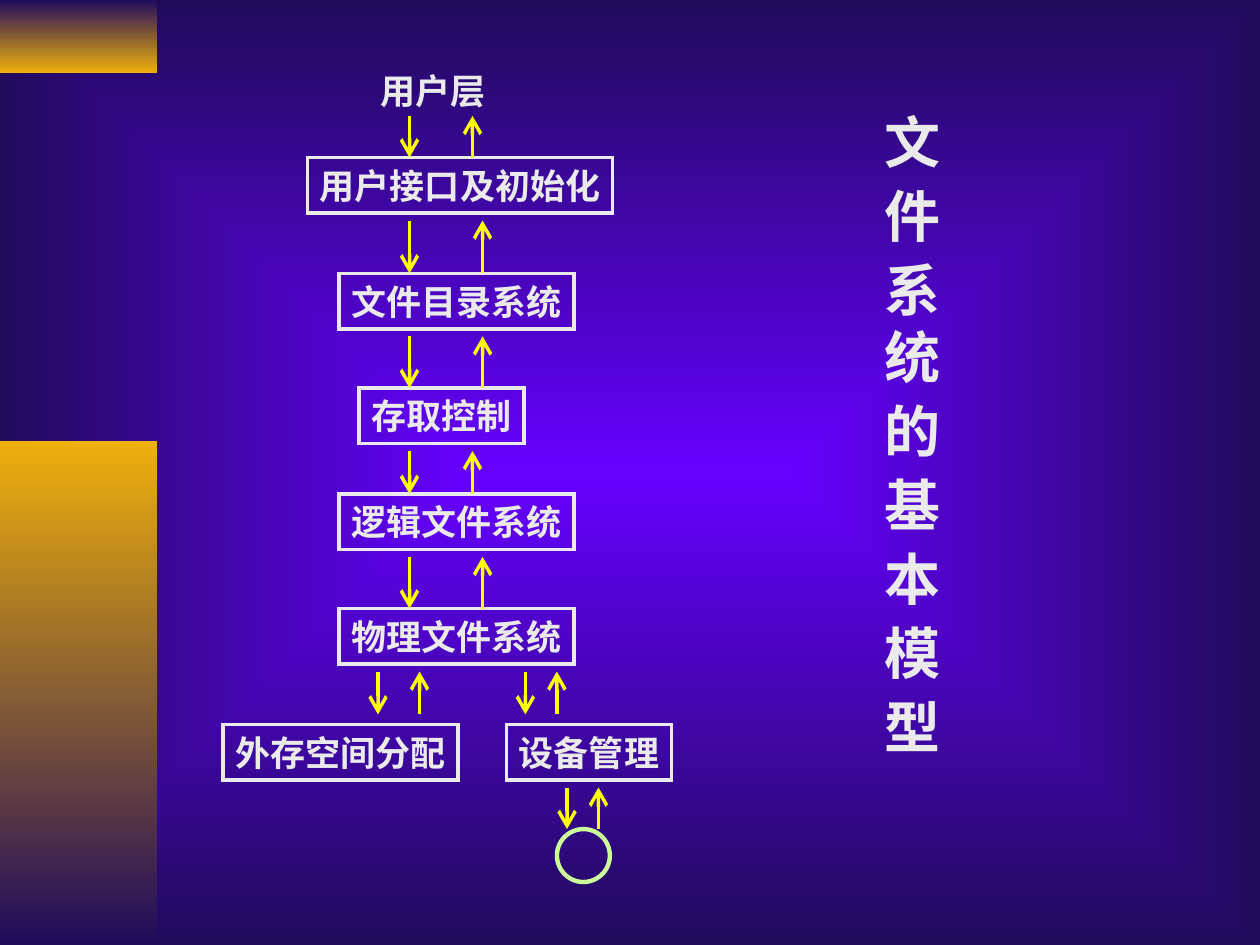
from pptx import Presentation
from pptx.util import Inches, Pt
from pptx.dml.color import RGBColor
from pptx.enum.shapes import MSO_SHAPE as Shape, MSO_CONNECTOR as Link
from pptx.enum.text import MSO_ANCHOR as Anchor, PP_ALIGN as Align
from pptx.oxml import parse_xml
from pptx.oxml.ns import nsdecls, qn
from lxml.etree import SubElement

SANS, SERIF = "Noto Sans CJK SC", "Times New Roman"
NAVY, GOLD, VIOLET = "200B5B", "EEB00B", "6600FF"
PALE, LIME, YELLOW = "EAEAEA", "CCFF99", "FFFF00"


def tint(code):
    return RGBColor.from_string(code)


def blend(fill, first, last):
    fill.gradient()
    for stop, code, place in zip(fill.gradient_stops, (first, last), (0, 1)):
        stop.color.rgb = tint(code)
        stop.position = place


def write(shape, text, size=20, font=SERIF, color=PALE, bold=True, leads=None):
    frame = shape.text_frame
    frame.word_wrap = False
    frame.vertical_anchor = Anchor.MIDDLE
    frame.margin_left, frame.margin_right = Inches(0.1), 0
    frame.margin_top = frame.margin_bottom = Inches(0.05)
    for i, line in enumerate(text.split("\n")):
        para = frame.paragraphs[0] if i == 0 else frame.add_paragraph()
        para.alignment = Align.LEFT
        para.line_spacing = leads[i] if leads else 1.0
        run = para.add_run()
        run.text = line
        run.font.size, run.font.bold, run.font.name = Pt(size), bold, font
        run.font.color.rgb = tint(color)
        SubElement(run.font._element, qn("a:ea"), typeface=SANS)


class Deck:
    """Holds the line style and the current slide, and draws each kind of element."""

    def __init__(self, width, height, stroke=2):
        self.show = Presentation()
        self.show.slide_width, self.show.slide_height = Inches(width), Inches(height)
        self.slide = self.show.slides.add_slide(self.show.slide_layouts[6])
        self.stroke = stroke

    def backdrop(self, inner, outer):
        fill = self.slide.background.fill
        blend(fill, inner, outer)
        grad = self.slide.background._cSld.find(".//" + qn("a:gradFill"))
        lin = grad.find(qn("a:lin"))
        glow = parse_xml(
            f'<a:path {nsdecls("a")} path="rect"><a:fillToRect l="50000" t="50000" '
            'r="50000" b="50000"/></a:path>')
        grad.replace(lin, glow)

    def shape(self, kind, *spot):
        item = self.slide.shapes.add_shape(kind, *map(Inches, spot))
        item.shadow.inherit = False
        return item

    def ink(self, item, color, width=None):
        item.line.color.rgb = tint(color)
        item.line.width = Pt(width or self.stroke)
        edge = item.line._get_or_add_ln()
        SubElement(edge, qn("a:miter"), lim="800000")
        return edge

    def band(self, top, height, first, last):
        item = self.shape(Shape.RECTANGLE, 0, top, 1.25, height)
        blend(item.fill, first, last)
        item.fill.gradient_angle = 270
        item.line.fill.background()

    def outline(self, kind, *spot, color=PALE, width=None):
        item = self.shape(kind, *spot)
        item.fill.background()
        self.ink(item, color, width)
        return item

    def box(self, left, top, text, font=SERIF):
        width = 0.2 + len(text) * 20 / 72
        write(self.outline(Shape.RECTANGLE, left, top, width, 0.44), text, font=font)

    def label(self, left, top, width, height, text, **style):
        item = self.slide.shapes.add_textbox(*map(Inches, (left, top, width, height)))
        write(item, text, **style)

    def arrow(self, x, start, end):
        item = self.slide.shapes.add_connector(
            Link.STRAIGHT, *map(Inches, (x, start, x, end)))
        edge = self.ink(item, YELLOW)
        SubElement(edge, qn("a:tailEnd"), type="arrow", w="lg", len="lg")
        SubElement(item._element.spPr, qn("a:effectLst"))

    def pair(self, down, up, top, end):
        self.arrow(down, top, end)
        self.arrow(up, end, top)


deck = Deck(10, 7.5)
deck.backdrop(VIOLET, NAVY)
deck.band(0, 0.58, NAVY, GOLD)
deck.band(3.5, 4, GOLD, NAVY)

title = "文件系统的基本模型"
deck.label(6.92, 0.75, 0.64, 5.33, "\n".join(title), size=32, font=SANS,
           leads=[1.0 if sign == "统" else 1.1 for sign in title])
deck.label(2.92, 0.5, 1.03, 0.44, "用户层")

for left, top, text in (
    (2.44, 1.25, "用户接口及初始化"),
    (2.69, 2.17, "文件目录系统"),
    (2.85, 3.08, "存取控制"),
    (2.69, 3.92, "逻辑文件系统"),
    (2.69, 4.83, "物理文件系统"),
):
    deck.box(left, top, text)
for left, text in ((1.77, "外存空间分配"), (4.02, "设备管理")):
    deck.box(left, 5.75, text, font=SANS)
deck.outline(Shape.OVAL, 4.42, 6.58, 0.42, 0.42, color=LIME, width=2.5)

for down, up, top, end in (
    (3.25, 3.75, 0.92, 1.25),
    (3.25, 3.83, 1.75, 2.17),
    (3.25, 3.83, 2.67, 3.08),
    (3.25, 3.75, 3.58, 3.92),
    (3.25, 3.83, 4.42, 4.83),
    (3, 3.33, 5.33, 5.67),
    (4.17, 4.42, 5.33, 5.67),
    (4.5, 4.75, 6.25, 6.58),
):
    deck.pair(down, up, top, end)

deck.show.save("out.pptx")
